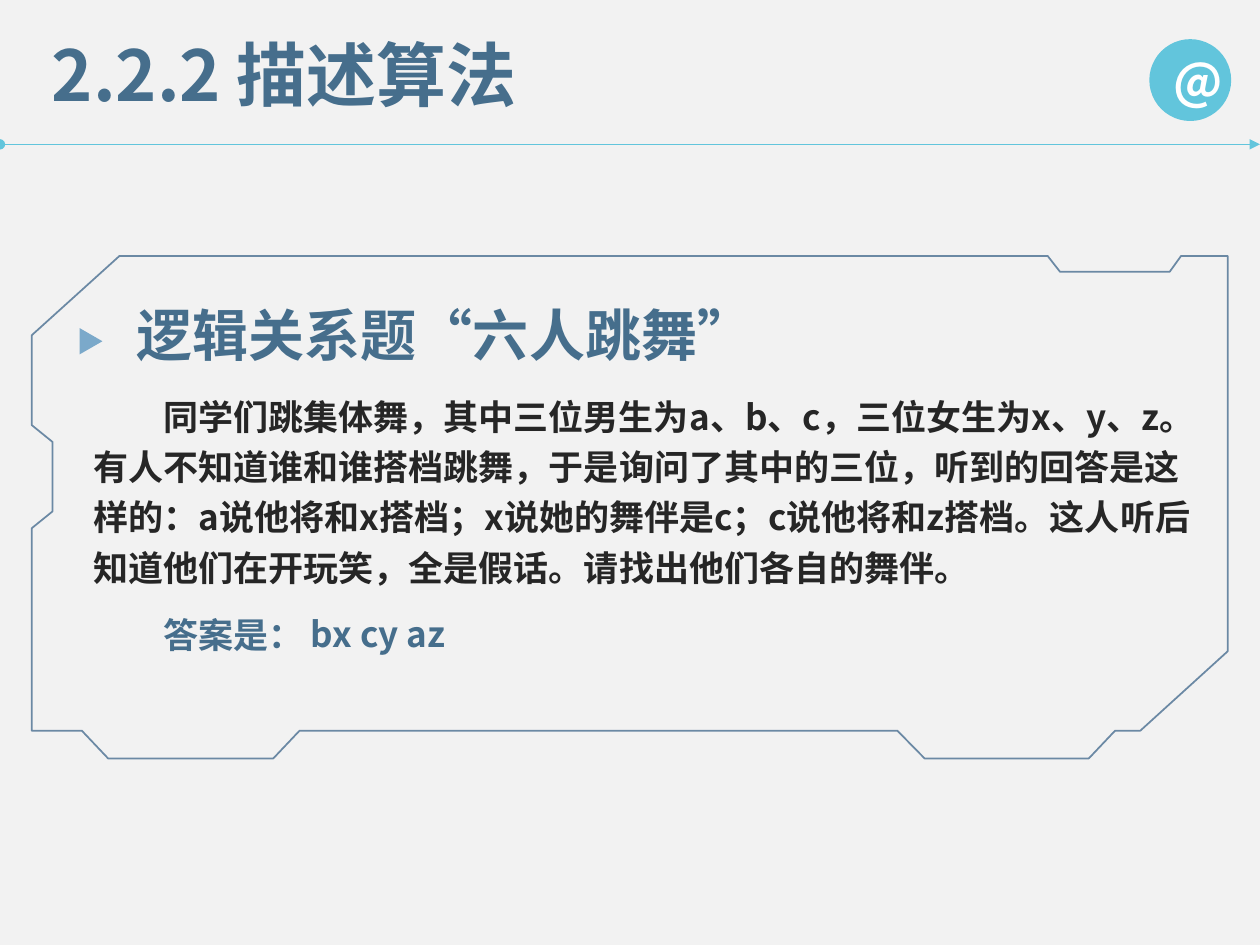
from lxml.etree import SubElement
from pptx import Presentation
from pptx.dml.color import RGBColor
from pptx.enum.shapes import MSO_CONNECTOR, MSO_SHAPE
from pptx.enum.text import MSO_ANCHOR, MSO_AUTO_SIZE, PP_ALIGN
from pptx.oxml.ns import qn
from pptx.util import Cm, Pt

FONT = "Noto Sans CJK SC"
PALE = RGBColor(0xF2, 0xF2, 0xF2)
CYAN = RGBColor(0x62, 0xC5, 0xDC)
BLUE = RGBColor(0x46, 0x6E, 0x8C)
NAVY = RGBColor(0x1F, 0x4E, 0x79)
SKY = RGBColor(0x7B, 0xA9, 0xCA)
DARK = RGBColor(0x26, 0x26, 0x26)
WHITE = RGBColor(0xFF, 0xFF, 0xFF)

STORY = (
    "同学们跳集体舞，其中三位男生为a、b、c，三位女生为x、y、z。"
    "有人不知道谁和谁搭档跳舞，于是询问了其中的三位，听到的回答是这样的："
    "a说他将和x搭档；x说她的舞伴是c；c说他将和z搭档。"
    "这人听后知道他们在开玩笑，全是假话。请找出他们各自的舞伴。"
)

FRAME = [
    (18.64, 15.29), (21.95, 15.29), (22.48, 14.73), (22.99, 14.73),
    (24.75, 13.13), (24.75, 5.16), (23.81, 5.16), (23.58, 5.48),
    (21.37, 5.48), (21.12, 5.16), (2.41, 5.16), (0.64, 6.76),
    (0.64, 8.57), (1.06, 8.91), (1.06, 10.31), (0.64, 10.65),
    (0.64, 14.73), (1.65, 14.73), (2.18, 15.29), (5.51, 15.29),
    (6.04, 14.73), (18.09, 14.73),
]


def write(shape, text, size, color, align=PP_ALIGN.LEFT, indent=0):
    """Put one bold paragraph into a shape and return it."""
    para = shape.text_frame.paragraphs[0]
    para.text = text
    para.alignment = align
    font = para.font
    font.name, font.size, font.bold = FONT, Pt(size), True
    font.color.rgb = color
    props = para._p.get_or_add_pPr()
    if indent:
        props.set("marL", "0")
        props.set("indent", str(Pt(indent)))
    SubElement(props.find(qn("a:defRPr")), qn("a:ea"), typeface=FONT)
    return para


def add_text(slide, box, text, size, color, wrap=True, indent=0):
    """Add a text box holding one paragraph."""
    shape = slide.shapes.add_textbox(*map(Cm, box))
    shape.text_frame.word_wrap = wrap
    return write(shape, text, size, color, indent=indent)


def add_solid(slide, kind, box, color):
    """Add a flat preset shape without outline."""
    shape = slide.shapes.add_shape(kind, *map(Cm, box))
    shape.shadow.inherit = False
    shape.fill.solid()
    shape.fill.fore_color.rgb = color
    shape.line.fill.background()
    return shape


def add_rule(slide, top, width):
    """Draw the header rule with a dot and an arrowhead."""
    rule = slide.shapes.add_connector(
        MSO_CONNECTOR.STRAIGHT, Cm(0), Cm(top), width, Cm(top))
    rule.line.color.rgb = CYAN
    rule.line.width = Pt(0.5)
    line = rule.line._get_or_add_ln()
    SubElement(line, qn("a:headEnd"), type="oval")
    SubElement(line, qn("a:tailEnd"), type="triangle")
    SubElement(rule._element.spPr, qn("a:effectLst"))


def add_frame(slide):
    """Draw the notched frame with a translucent outline."""
    first, *rest = [(Cm(x), Cm(y)) for x, y in FRAME]
    path = slide.shapes.build_freeform(*first)
    path.add_line_segments(rest, close=True)
    frame = path.convert_to_shape()
    frame.shadow.inherit = False
    frame.fill.background()
    frame.line.color.rgb = NAVY
    frame.line.width = Pt(1)
    tint = frame.line._get_or_add_ln().find(".//" + qn("a:srgbClr"))
    SubElement(tint, qn("a:alpha"), val="64000")


def set_title(slide, box, text):
    """Place and format the title placeholder."""
    title = slide.shapes.title
    title.left, title.top, title.width, title.height = map(Cm, box)
    title.text_frame.auto_size = MSO_AUTO_SIZE.NONE
    title.text_frame.vertical_anchor = MSO_ANCHOR.TOP
    write(title, text, 40, BLUE)


def main():
    """Build the slide and save it."""
    deck = Presentation()
    deck.slide_width, deck.slide_height = Cm(25.4), Cm(19.05)
    slide = deck.slides.add_slide(deck.slide_layouts[5])
    slide.background.fill.solid()
    slide.background.fill.fore_color.rgb = PALE

    add_rule(slide, 2.91, deck.slide_width)
    badge = add_solid(slide, MSO_SHAPE.OVAL, (23.17, 0.79, 1.65, 1.65), CYAN)
    badge.text_frame.vertical_anchor = MSO_ANCHOR.MIDDLE
    write(badge, "@", 28, WHITE, PP_ALIGN.CENTER)
    set_title(slide, (0.79, 0.51, 19.1, 1.96), "2.2.2 描述算法")

    story = add_text(slide, (1.63, 7.67, 22.71, 4.37), STORY, 20, DARK, indent=40)
    story.line_spacing = 1.2
    add_frame(slide)
    add_text(slide, (6.02, 12.22, 3.86, 1.12), "bx cy az", 20, BLUE)
    add_text(slide, (1.63, 12.24, 4.42, 1.12), "答案是：", 20, BLUE, indent=40)
    add_text(slide, (2.51, 5.94, 12.98, 1.63), "逻辑关系题“六人跳舞”", 32, BLUE, wrap=False)
    mark = add_solid(slide, MSO_SHAPE.ISOSCELES_TRIANGLE, (1.57, 6.65, 0.53, 0.46), SKY)
    mark.rotation = 90
    deck.save("out.pptx")


if __name__ == "__main__":
    main()
